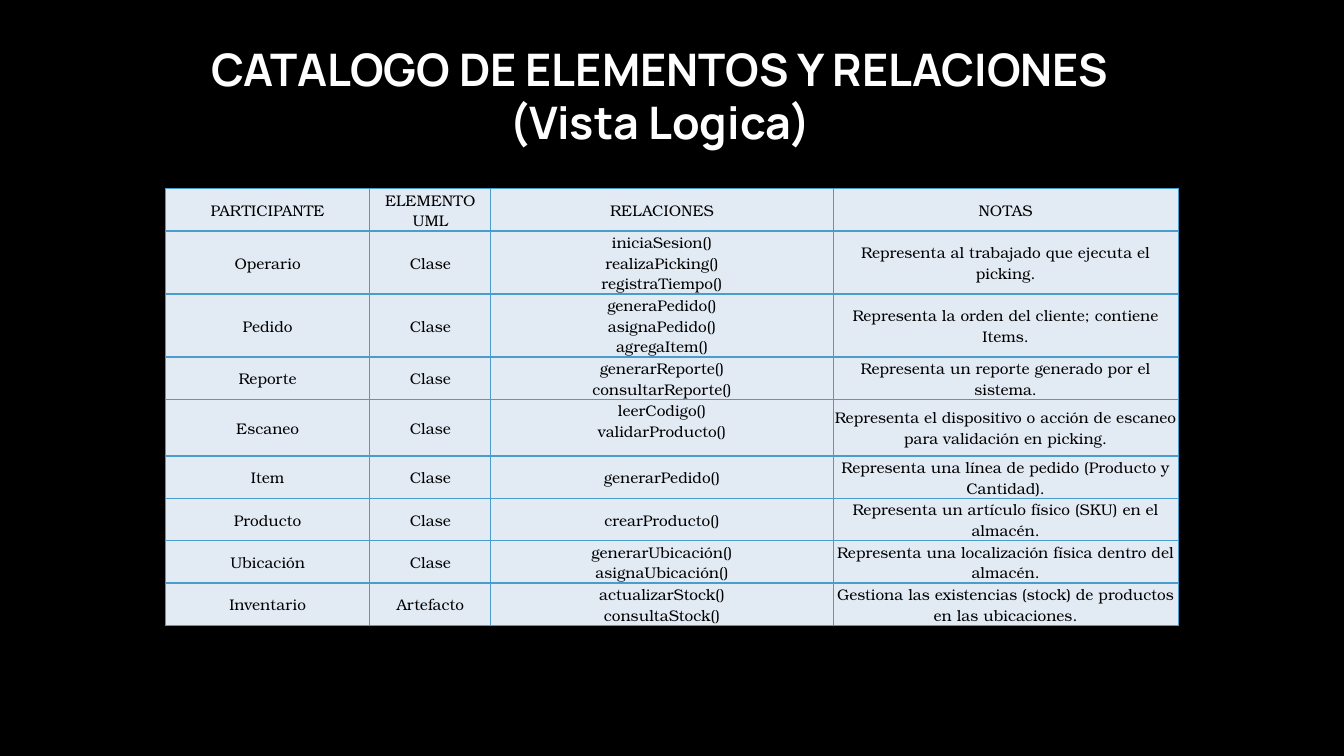
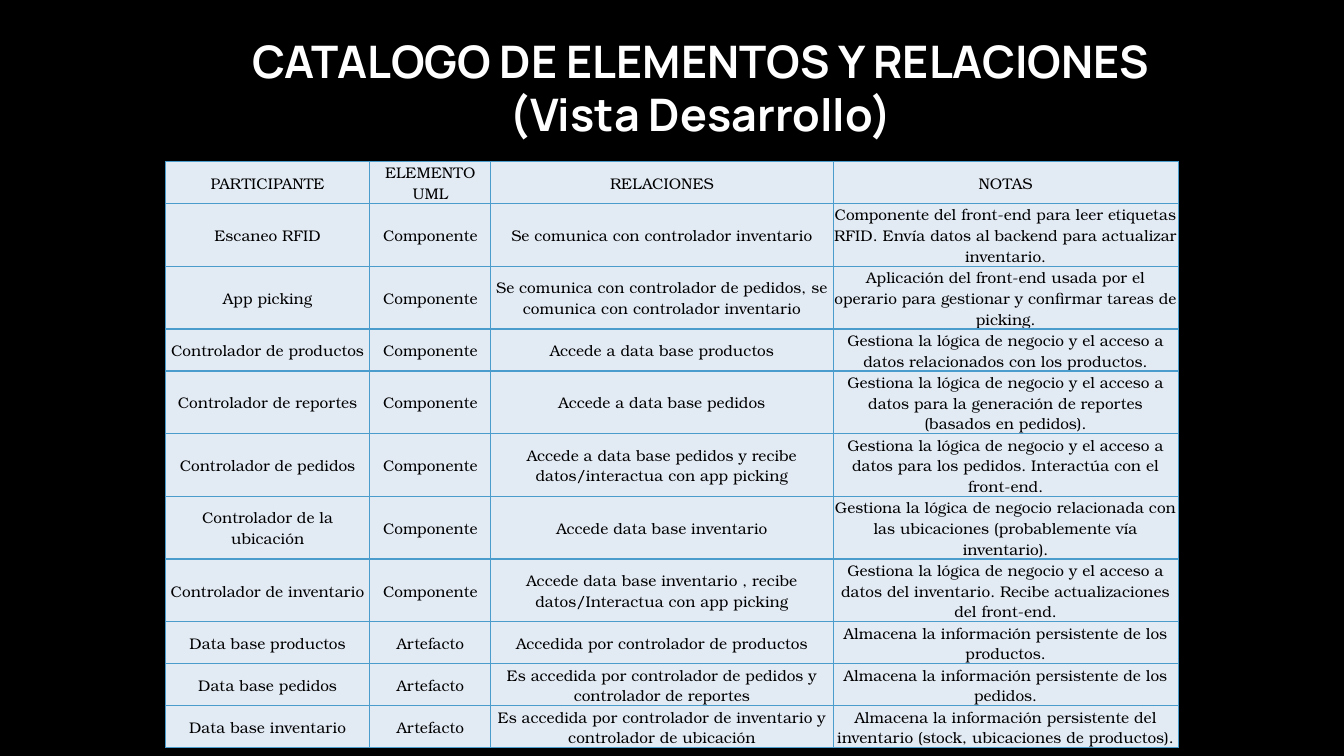
from dataclasses import dataclass

from lxml import etree
from pptx import Presentation
from pptx import util as u
from pptx.dml.color import RGBColor
from pptx.enum import text
from pptx.oxml import ns

Pt = u.Pt


@dataclass(frozen=True)
class Theme:
    background: str = "000000"
    title_color: str = "FFFFFF"
    title_font: str = "Manrope"
    title_size: float = 32
    title_leading: float = 38.4
    cell_fill: str = "E2EAF4"
    cell_color: str = "000000"
    cell_font: str = "TeX Gyre Bonum"
    cell_size: float = 11
    border: str = "4A9CCC"
    border_width: float = 1


T = Theme()
TITLE_FORMAT = dict(name=T.title_font, size=Pt(T.title_size), bold=True)
CELL_FORMAT = dict(name=T.cell_font, size=Pt(T.cell_size), bold=False)

# Table layout: shared left edge and columns, row heights by kind of row
TABLE_LEFT = 118.2
COLUMNS = (146, 86.4, 244.6, 246.4)
TWO, LOOSE, THREE = 30, 40.4, 44.8
HEADER = (TWO, "PARTICIPANTE", "ELEMENTO UML", "RELACIONES", "NOTAS")

LOGICAL_ROWS = [
    (THREE, "Operario", "Clase", "iniciaSesion()\nrealizaPicking()\nregistraTiempo()",
     "Representa al trabajado que ejecuta el picking."),
    (THREE, "Pedido", "Clase", "generaPedido()\nasignaPedido()\nagregaItem()",
     "Representa la orden del cliente; contiene Items."),
    (TWO, "Reporte", "Clase", "generarReporte()\nconsultarReporte()",
     "Representa un reporte generado por el sistema."),
    (LOOSE, "Escaneo", "Clase", "leerCodigo()\nvalidarProducto()",
     "Representa el dispositivo o acción de escaneo para validación en picking."),
    (TWO, "Item", "Clase", "generarPedido()",
     "Representa una línea de pedido (Producto y Cantidad)."),
    (TWO, "Producto", "Clase", "crearProducto()",
     "Representa un artículo físico (SKU) en el almacén."),
    (TWO, "Ubicación", "Clase", "generarUbicación()\nasignaUbicación()",
     "Representa una localización física dentro del almacén."),
    (TWO, "Inventario", "Artefacto", "actualizarStock()\nconsultaStock()",
     "Gestiona las existencias (stock) de productos en las ubicaciones."),
]

DEVELOPMENT_ROWS = [
    (THREE, "Escaneo RFID", "Componente", "Se comunica con controlador inventario",
     "Componente del front-end para leer etiquetas RFID. "
     "Envía datos al backend para actualizar inventario."),
    (THREE, "App picking", "Componente",
     "Se comunica con controlador de pedidos, se comunica con controlador inventario",
     "Aplicación del front-end usada por el operario para gestionar y "
     "confirmar tareas de picking."),
    (TWO, "Controlador de productos", "Componente", "Accede a data base productos",
     "Gestiona la lógica de negocio y el acceso a datos relacionados con los productos."),
    (THREE, "Controlador de reportes", "Componente", "Accede a data base pedidos",
     "Gestiona la lógica de negocio y el acceso a datos para la generación "
     "de reportes (basados en pedidos)."),
    (THREE, "Controlador de pedidos", "Componente",
     "Accede a data base pedidos y recibe datos/interactua con app picking",
     "Gestiona la lógica de negocio y el acceso a datos para los pedidos. "
     "Interactúa con el front-end."),
    (THREE, "Controlador de la ubicación", "Componente", "Accede data base inventario",
     "Gestiona la lógica de negocio relacionada con las ubicaciones "
     "(probablemente vía inventario)."),
    (THREE, "Controlador de inventario", "Componente",
     "Accede data base inventario , recibe datos/Interactua con app picking",
     "Gestiona la lógica de negocio y el acceso a datos del inventario. "
     "Recibe actualizaciones del front-end."),
    (TWO, "Data base productos", "Artefacto", "Accedida por controlador de productos",
     "Almacena la información persistente de los productos."),
    (TWO, "Data base pedidos", "Artefacto",
     "Es accedida por controlador de pedidos y controlador de reportes",
     "Almacena la información persistente de los pedidos."),
    (TWO, "Data base inventario", "Artefacto",
     "Es accedida por controlador de inventario y controlador de ubicación",
     "Almacena la información persistente del inventario "
     "(stock, ubicaciones de productos)."),
]


def set_attrs(obj, values):
    for name, value in values.items():
        setattr(obj, name, value)


def write_lines(tf, lines, font, color, leading=None):
    """Fill a text frame with one centred paragraph per line."""
    for i, line in enumerate(lines):
        p = tf.paragraphs[0] if i == 0 else tf.add_paragraph()
        p.alignment = text.PP_ALIGN.CENTER
        if leading:
            p.line_spacing = Pt(leading)
        r = p.add_run()
        r.text = line
        set_attrs(r.font, font)
        r.font.color.rgb = RGBColor.from_string(color)


def add_slide(prs):
    s = prs.slides.add_slide(prs.slide_layouts[6])
    fill = s.background.fill
    fill.solid()
    fill.fore_color.rgb = RGBColor.from_string(T.background)
    return s


def add_title(s, left, top, width, view):
    lines = ["CATALOGO DE ELEMENTOS Y RELACIONES", view]
    sp = s.shapes.add_textbox(Pt(left), Pt(top), Pt(width),
                              Pt(len(lines) * T.title_leading))
    tf = sp.text_frame
    set_attrs(tf, dict(word_wrap=True, margin_left=0, margin_right=0,
                       margin_top=0, margin_bottom=0,
                       auto_size=text.MSO_AUTO_SIZE.SHAPE_TO_FIT_TEXT))
    write_lines(tf, lines, TITLE_FORMAT, T.title_color, T.title_leading)


def add_borders(cell):
    tc_pr = cell._tc.get_or_add_tcPr()
    for side in ("lnL", "lnR", "lnT", "lnB"):
        ln = etree.SubElement(tc_pr, ns.qn("a:" + side), w=str(Pt(T.border_width)))
        fill = etree.SubElement(ln, ns.qn("a:solidFill"))
        etree.SubElement(fill, ns.qn("a:srgbClr"), val=T.border)


def format_cell(cell, content, anchor):
    set_attrs(cell, dict(margin_left=Pt(0.7), margin_right=Pt(0.7),
                         margin_top=Pt(0.7), margin_bottom=0,
                         vertical_anchor=anchor))
    add_borders(cell)
    cell.fill.solid()
    cell.fill.fore_color.rgb = RGBColor.from_string(T.cell_fill)
    write_lines(cell.text_frame, content.split("\n"), CELL_FORMAT, T.cell_color)


def add_catalog(s, top, body):
    rows = [HEADER] + body
    frame = s.shapes.add_table(len(rows), len(COLUMNS), Pt(TABLE_LEFT), Pt(top),
                               Pt(sum(COLUMNS)), Pt(sum(row[0] for row in rows)))
    table = frame.table
    set_attrs(table, dict(first_row=False, horz_banding=False))
    for column, width in zip(table.columns, COLUMNS):
        column.width = Pt(width)
    for i, (height, *contents) in enumerate(rows):
        table.rows[i].height = Pt(height)
        for j, content in enumerate(contents):
            # Method lists in a loose row sit at the top of their cell
            at_top = height == LOOSE and "\n" in content
            anchor = text.MSO_ANCHOR.TOP if at_top else text.MSO_ANCHOR.MIDDLE
            format_cell(table.cell(i, j), content, anchor)


def main():
    prs = Presentation()
    prs.slide_width, prs.slide_height = Pt(960), Pt(540)

    # Logical view
    s = add_slide(prs)
    add_catalog(s, 134.8, LOGICAL_ROWS)
    add_title(s, 140.4, 29.5, 662.4, "(Vista Logica)")

    # Development view
    s = add_slide(prs)
    add_catalog(s, 115.4, DEVELOPMENT_ROWS)
    add_title(s, 159.8, 23.8, 681.8, "(Vista Desarrollo)")

    prs.save("out.pptx")


if __name__ == "__main__":
    main()
